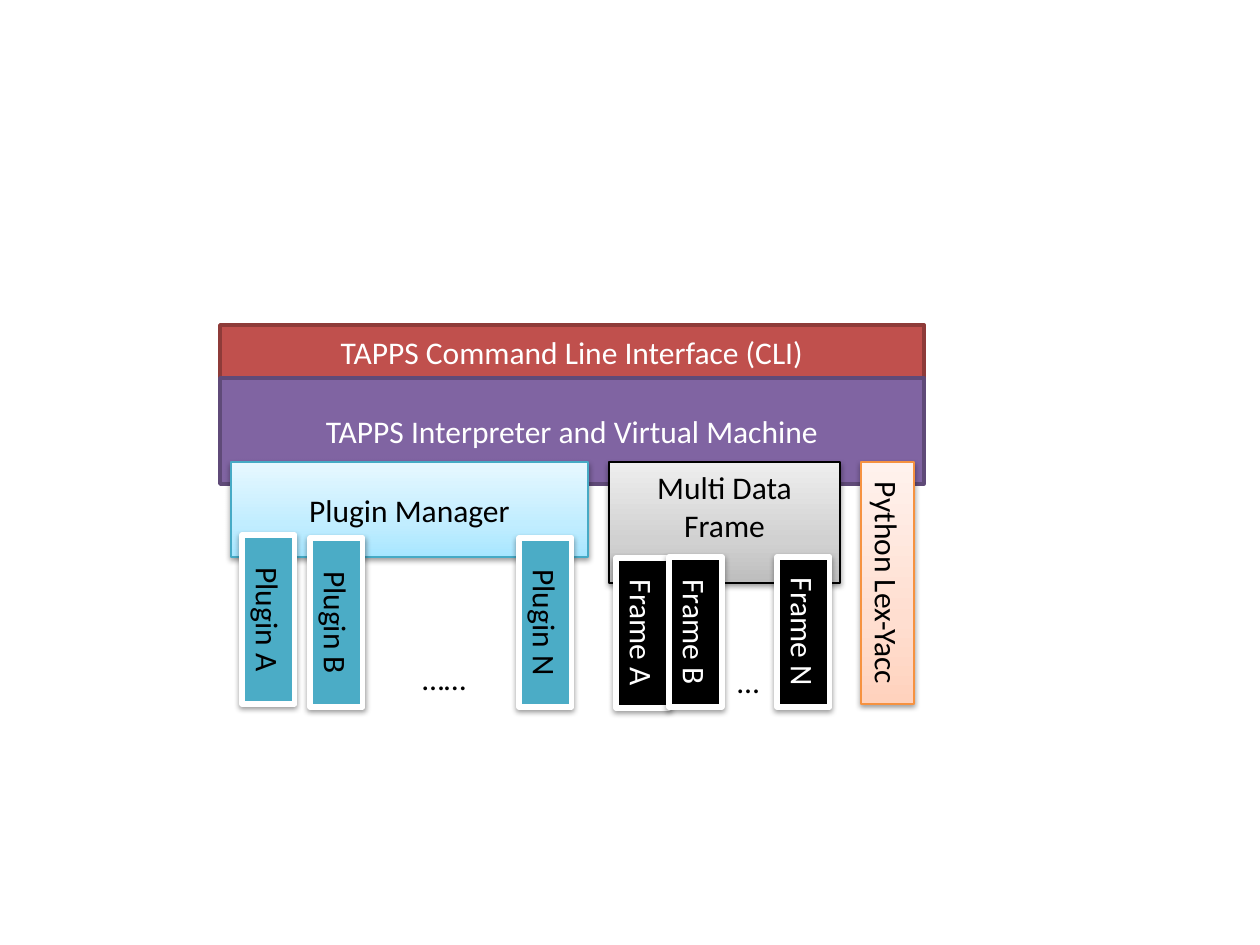
from copy import deepcopy
from dataclasses import dataclass

from lxml import etree
from pptx import Presentation
from pptx.dml.color import RGBColor
from pptx.enum.shapes import MSO_SHAPE
from pptx.enum.text import MSO_ANCHOR, MSO_AUTO_SIZE, PP_ALIGN
from pptx.oxml.ns import qn
from pptx.util import Pt

RECT = MSO_SHAPE.RECTANGLE
TOP, MIDDLE = MSO_ANCHOR.TOP, MSO_ANCHOR.MIDDLE
CENTER = PP_ALIGN.CENTER
FIT = MSO_AUTO_SIZE.SHAPE_TO_FIT_TEXT
PX = 914400 / 126


@dataclass(frozen=True)
class Theme:
    font: str = "Calibri"
    size: int = 18
    black: str = "000000"
    white: str = "FFFFFF"


T = Theme()

STYLES = {
    "cli": dict(fill="C0504D", line="8E3B39", weight=2, color=T.white),
    "vm": dict(fill="8064A2", line="5F4A78", weight=2, color=T.white),
    "parser": dict(fill=("FFD2BD", "FFDED0", "FFF2ED"), line="F69240",
                   weight=0.75, color=T.black, shadow=True, vertical=True),
    "manager": dict(fill=("A7E6FF", "C1EDFF", "E7F8FF"), line="46AAC5",
                    weight=0.75, color=T.black, shadow=True),
    "data": dict(fill=("BDBDBD", "D1D1D1", "EEEEEE"), line=T.black,
                 weight=0.75, color=T.black, shadow=True, anchor=TOP),
    "plugin": dict(fill="4BACC6", line=T.white, weight=3, color=T.black,
                   shadow=True, vertical=True),
    "frame": dict(fill=T.black, line=T.white, weight=3, color=T.white,
                  shadow=True, vertical=True),
}

BAR_X, BAR_W = 220, 704
MODULE_Y = 462
COLUMN_W = 53
LAYERS = [
    ("TAPPS Command Line Interface (CLI)", "cli", (BAR_X, 325, BAR_W, 53)),
    ("TAPPS Interpreter and Virtual Machine", "vm", (BAR_X, 378, BAR_W, 106)),
    ("Python Lex-Yacc", "parser", (861, MODULE_Y, COLUMN_W, 242)),
    ("Plugin Manager", "manager", (231, MODULE_Y, 357, 95)),
    ("Multi Data Frame", "data", (609, MODULE_Y, 231, 121)),
]
PLUGINS = [("Plugin A", 242, 535), ("Plugin B", 310, 538), ("Plugin N", 519, 538)]
FRAMES = [("Frame A", 616, 558), ("Frame B", 669, 557), ("Frame N", 777, 557)]
COLUMNS = [("plugin", 169, PLUGINS), ("frame", 150, FRAMES)]
ELLIPSES = [("…", (725, 656, 48, 50)), ("……", (410, 653, 69, 50))]


def rgb(value):
    return RGBColor.from_string(value)


def emu(box):
    return [round(v * PX) for v in box]


def set_text(tf, text, color):
    tf.text = text
    font = tf.paragraphs[0].runs[0].font
    font.name, font.size = T.font, Pt(T.size)
    font.color.rgb = rgb(color)


def set_gradient(s, colors):
    s.fill.gradient()
    s.fill.gradient_angle = 90
    stops = s._element.spPr.find(".//" + qn("a:gsLst"))
    stops.insert(1, deepcopy(stops[0]))
    for stop, color, position in zip(s.fill.gradient_stops, colors, (0, 0.35, 1)):
        stop.color.rgb = rgb(color)
        stop.position = position


def add_shadow(s):
    effects = s._element.spPr.find(qn("a:effectLst"))
    outer = etree.SubElement(effects, qn("a:outerShdw"), blurRad="40000",
                             dist="20000", dir="5400000", rotWithShape="0")
    color = etree.SubElement(outer, qn("a:srgbClr"), val=T.black)
    etree.SubElement(color, qn("a:alpha"), val="38000")


def add_block(shapes, text, box, fill, line, weight, color,
              shadow=False, vertical=False, anchor=MIDDLE):
    s = shapes.add_shape(RECT, *emu(box))
    if isinstance(fill, tuple):
        set_gradient(s, fill)
    else:
        s.fill.solid()
        s.fill.fore_color.rgb = rgb(fill)
    s.line.color.rgb = rgb(line)
    s.line.width = Pt(weight)
    s.shadow.inherit = False
    if shadow:
        add_shadow(s)
    tf = s.text_frame
    set_text(tf, text, color)
    tf.word_wrap = True
    tf.vertical_anchor = anchor
    tf.paragraphs[0].alignment = CENTER
    if vertical:
        s._element.txBody.find(qn("a:bodyPr")).set("vert", "vert")


def main():
    prs = Presentation()
    prs.slide_width, prs.slide_height = emu((1260, 945))
    shapes = prs.slides.add_slide(prs.slide_layouts[6]).shapes
    for text, style, box in LAYERS:
        add_block(shapes, text, box, **STYLES[style])
    for style, height, items in COLUMNS:
        for text, x, y in items:
            add_block(shapes, text, (x, y, COLUMN_W, height), **STYLES[style])
    for text, box in ELLIPSES:
        tf = shapes.add_textbox(*emu(box)).text_frame
        set_text(tf, text, T.black)
        tf.word_wrap = False
        tf.auto_size = FIT
    prs.save("out.pptx")


if __name__ == "__main__":
    main()
